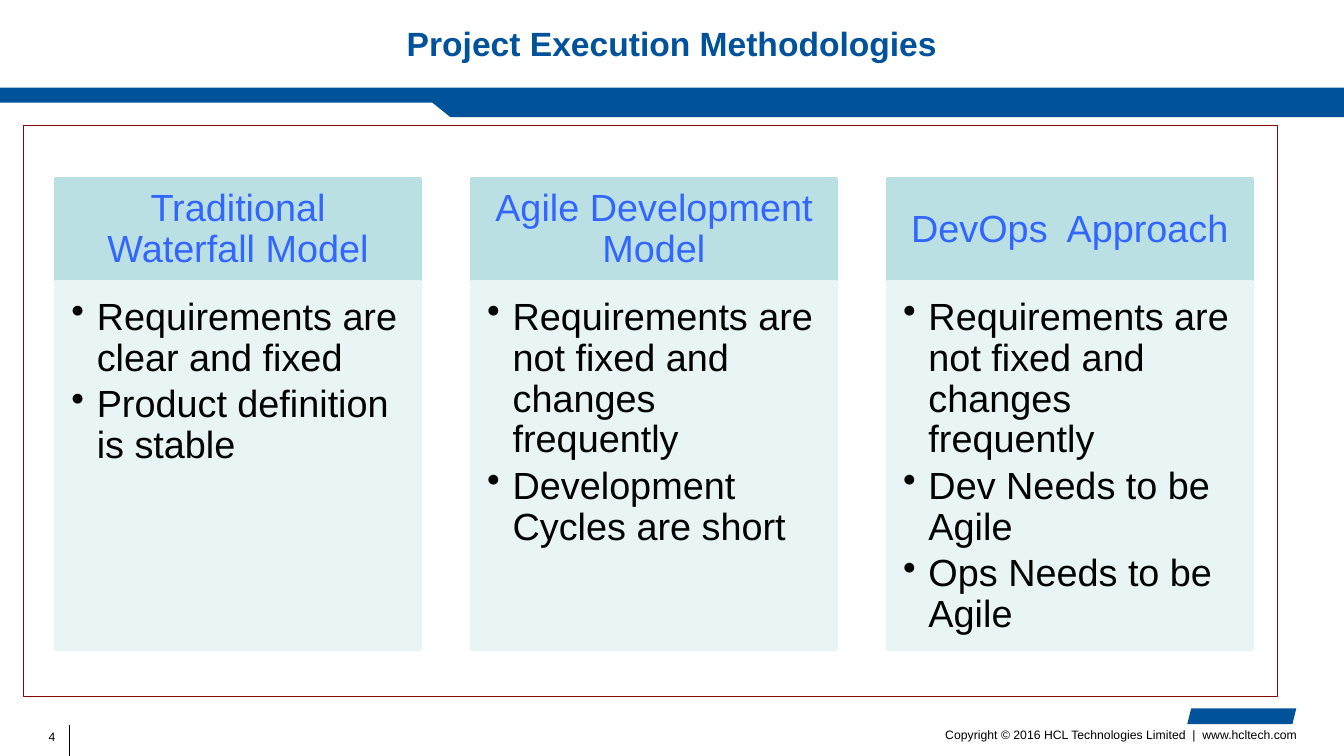
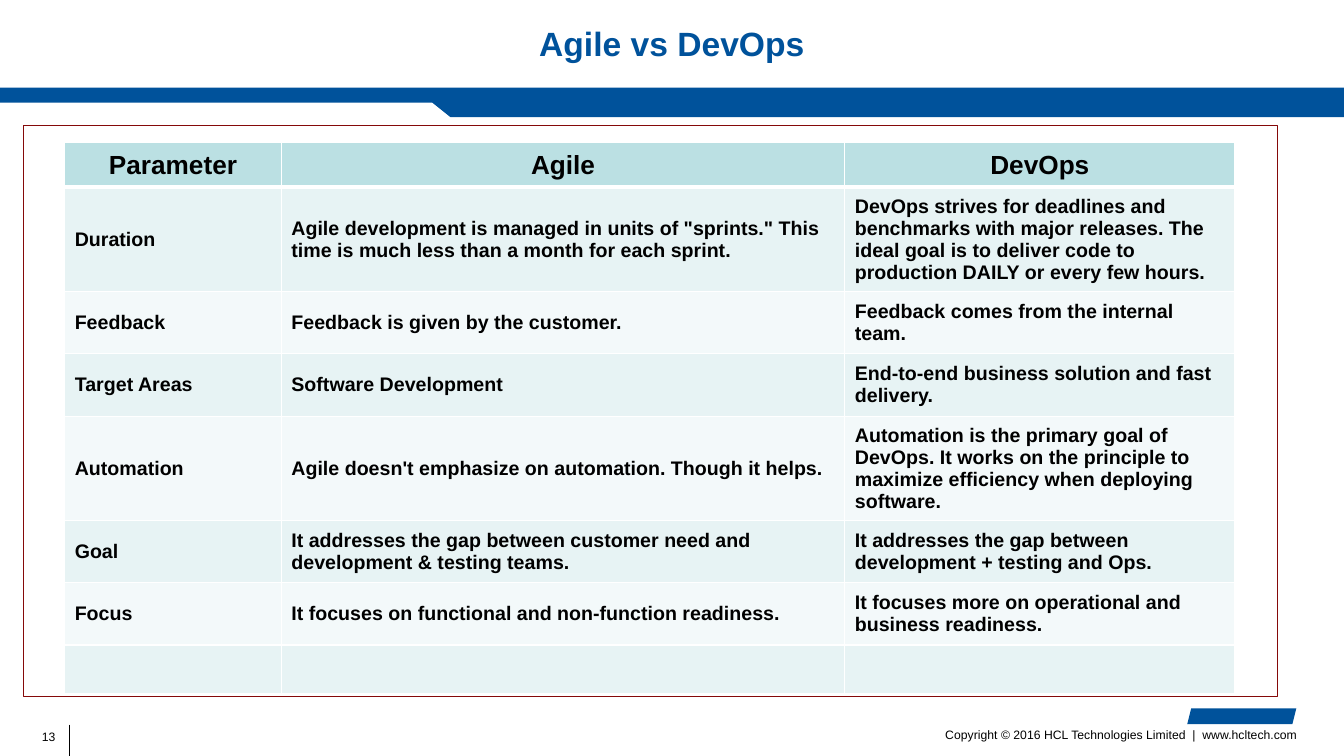
"""Build two slides on project execution methodologies, agile and DevOps."""
from dataclasses import dataclass

from lxml.etree import SubElement
from pptx import Presentation
from pptx.dml.color import RGBColor as RGB
from pptx.enum.shapes import MSO_CONNECTOR as CONNECTOR, MSO_SHAPE as SHAPE
from pptx.enum.text import MSO_ANCHOR as ANCHOR, PP_ALIGN as ALIGN
from pptx.oxml.ns import qn
from pptx.util import Cm, Pt


@dataclass(frozen=True)
class Theme:
    font: str = "Arial"
    brand: str = "00529B"
    ink: str = "000000"
    paper: str = "FFFFFF"
    frame: str = "850909"
    heading_text: str = "3366FF"
    heading_fill: str = "BBE0E3"
    card_fill: str = "E9F4F5"
    row_fills: tuple = ("E7F3F4", "F3F9FA")
    title_size: float = 24
    card_size: float = 27
    column_size: float = 18.7
    cell_size: float = 14
    footer_size: float = 8.7


theme = Theme()


def write(frame, *lines, size, color=theme.ink, bold=False, align=ALIGN.LEFT,
          anchor=ANCHOR.TOP, margins=None, spacing=None, after=0, bullet=None):
    frame.word_wrap = True
    frame.vertical_anchor = anchor
    if margins:
        (frame.margin_left, frame.margin_top,
         frame.margin_right, frame.margin_bottom) = map(Cm, margins)
    for number, line in enumerate(lines):
        paragraph = frame.add_paragraph() if number else frame.paragraphs[0]
        paragraph.alignment = align
        paragraph.line_spacing = spacing
        paragraph.space_after = Pt(after)
        if bullet:
            properties = paragraph._p.get_or_add_pPr()
            properties.set("marL", str(Cm(0.64)))
            properties.set("indent", str(-Cm(0.64)))
            SubElement(properties, qn("a:buChar")).set("char", bullet)
        run = paragraph.add_run()
        run.text = line
        run.font.name, run.font.size, run.font.bold = theme.font, Pt(size), bold
        run.font.color.rgb = RGB.from_string(color)


def paint(shape, fill=None, line=None, width=1):
    shape.shadow.inherit = False
    for part, color in ((shape.fill, fill), (shape.line.fill, line)):
        if color:
            part.solid()
            part.fore_color.rgb = RGB.from_string(color)
        else:
            part.background()
    if line:
        shape.line.width = Pt(width)
    return shape


deck = Presentation()
deck.slide_width, deck.slide_height = Cm(33.87), Cm(19.05)

layout = deck.slide_layouts[5]
title_area, *footer_areas = layout.placeholders
for area in footer_areas:
    layout.shapes.element.remove(area.element)
title_area.left, title_area.top = Cm(2.33), Cm(0)
title_area.width, title_area.height = Cm(29.2), Cm(2.18)

methods_slide = deck.slides.add_slide(layout)
versus_slide = deck.slides.add_slide(layout)

outline = [(Cm(x), Cm(y)) for x, y in (
    (0, 2.21), (0, 2.59), (10.9, 2.59), (11.35, 2.95), (33.87, 2.95), (33.87, 2.21))]
builder = methods_slide.shapes.build_freeform(*outline[0])
builder.add_line_segments(outline[1:])
band = paint(builder.convert_to_shape(), theme.brand)

emblem = paint(methods_slide.shapes.add_shape(
    SHAPE.PARALLELOGRAM, Cm(29.92), Cm(17.85), Cm(2.75), Cm(0.4)), theme.brand)

divider = methods_slide.shapes.add_connector(
    CONNECTOR.STRAIGHT, Cm(1.75), Cm(18.26), Cm(1.75), Cm(19.05))
divider.line.color.rgb = RGB.from_string(theme.ink)
divider.line.width = Pt(0.75)
SubElement(divider.element.spPr, qn("a:effectLst"))

copyright_line = methods_slide.shapes.add_textbox(Cm(22.7), Cm(18.2), Cm(10), Cm(0.64))
write(copyright_line.text_frame,
      "Copyright © 2016 HCL Technologies Limited  |  www.hcltech.com",
      size=theme.footer_size, align=ALIGN.RIGHT, margins=(0.25, 0.13, 0, 0.13))

for shared in (band, emblem, divider, copyright_line):
    layout.shapes.element.append(shared.element)

for slide, heading, page in ((methods_slide, "Project Execution Methodologies", "4"),
                             (versus_slide, "Agile vs DevOps", "13")):
    write(slide.shapes.title.text_frame, heading, size=theme.title_size,
          color=theme.brand, bold=True, align=ALIGN.CENTER, anchor=ANCHOR.MIDDLE,
          margins=(0.13, 0.13, 0.13, 0.13))
    paint(slide.shapes.add_shape(SHAPE.RECTANGLE, Cm(0.58), Cm(3.15), Cm(31.6), Cm(14.4)),
          line=theme.frame, width=0.25)
    page_number = slide.shapes.add_textbox(Cm(0.18), Cm(18.24), Cm(1.22), Cm(0.64))
    write(page_number.text_frame, page, size=theme.footer_size, align=ALIGN.RIGHT,
          margins=(0.25, 0.13, 0, 0.13))

methods = {
    "Traditional Waterfall Model": (
        "Requirements are clear and fixed",
        "Product definition is stable"),
    "Agile Development Model": (
        "Requirements are not fixed and changes frequently",
        "Development Cycles are short"),
    "DevOps  Approach": (
        "Requirements are not fixed and changes frequently",
        "Dev Needs to be Agile",
        "Ops Needs to be Agile"),
}
for column, (method, traits) in enumerate(methods.items()):
    left, width = Cm(1.4 + column * 10.48), Cm(9.2)
    method_head = paint(methods_slide.shapes.add_shape(
        SHAPE.RECTANGLE, left, Cm(4.5), width, Cm(2.6)),
        theme.heading_fill, theme.heading_fill, 2)
    write(method_head.text_frame, method, size=theme.card_size, color=theme.heading_text,
          align=ALIGN.CENTER, anchor=ANCHOR.MIDDLE, margins=(0.5, 0.3, 0.5, 0.3),
          spacing=0.9)
    method_card = paint(methods_slide.shapes.add_shape(
        SHAPE.RECTANGLE, left, Cm(7.1), width, Cm(9.27)),
        theme.card_fill, theme.card_fill, 2)
    write(method_card.text_frame, *traits, size=theme.card_size,
          margins=(0.4, 0.4, 0.5, 0.6), spacing=0.9, after=4, bullet="•")

comparison = (
    ("Parameter", "Agile", "DevOps"),
    ("Duration",
     'Agile development is managed in units of "sprints." This time is much less '
     "than a month for each sprint.",
     "DevOps strives for deadlines and benchmarks with major releases. The ideal goal "
     "is to deliver code to production DAILY or every few hours."),
    ("Feedback", "Feedback is given by the customer.",
     "Feedback comes from the internal team."),
    ("Target Areas", "Software Development",
     "End-to-end business solution and fast delivery."),
    ("Automation", "Agile doesn't emphasize on automation. Though it helps.",
     "Automation is the primary goal of DevOps. It works on the principle to maximize "
     "efficiency when deploying software."),
    ("Goal",
     "It addresses the gap between customer need and development & testing teams.",
     "It addresses the gap between development + testing and Ops."),
    ("Focus", "It focuses on functional and non-function readiness.",
     "It focuses more on operational and business readiness."),
    ("", "", ""),
)
column_widths = (5.46, 14.2, 9.83)
row_heights = (1.12, 2.51, 1.57, 1.57, 2.51, 1.57, 1.57, 1.22)
grid = versus_slide.shapes.add_table(
    len(row_heights), len(column_widths), Cm(1.63), Cm(3.6),
    Cm(sum(column_widths)), Cm(sum(row_heights))).table
grid.horz_banding = False
for grid_column, width in zip(grid.columns, column_widths):
    grid_column.width = Cm(width)
for index, (entries, height) in enumerate(zip(comparison, row_heights)):
    grid.rows[index].height = Cm(height)
    is_header = index == 0
    edges = {"lnL": 1, "lnR": 1, "lnT": 3 if index == 1 else 1, "lnB": 3 if is_header else 1}
    for column, entry in enumerate(entries):
        cell = grid.cell(index, column)
        properties = cell._tc.get_or_add_tcPr()
        for edge, weight in edges.items():
            border = SubElement(properties, qn(f"a:{edge}"), w=str(Pt(weight)))
            border_fill = SubElement(border, qn("a:solidFill"))
            SubElement(border_fill, qn("a:srgbClr"), val=theme.paper)
        cell.fill.solid()
        cell.fill.fore_color.rgb = RGB.from_string(
            theme.heading_fill if is_header else theme.row_fills[(index - 1) % 2])
        cell.vertical_anchor = ANCHOR.MIDDLE
        if entry:
            write(cell.text_frame, entry, bold=True, anchor=ANCHOR.MIDDLE,
                  size=theme.column_size if is_header else theme.cell_size,
                  align=ALIGN.CENTER if is_header else ALIGN.LEFT)

deck.save("out.pptx")
